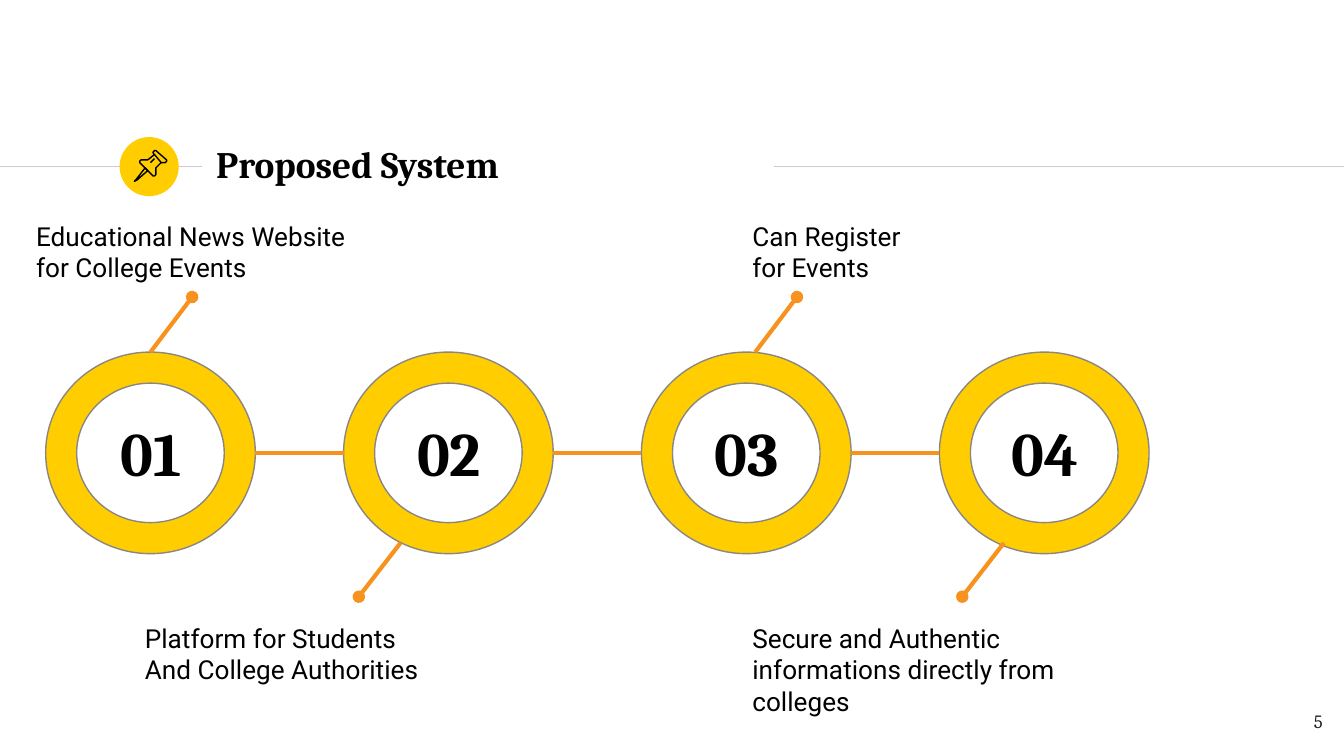
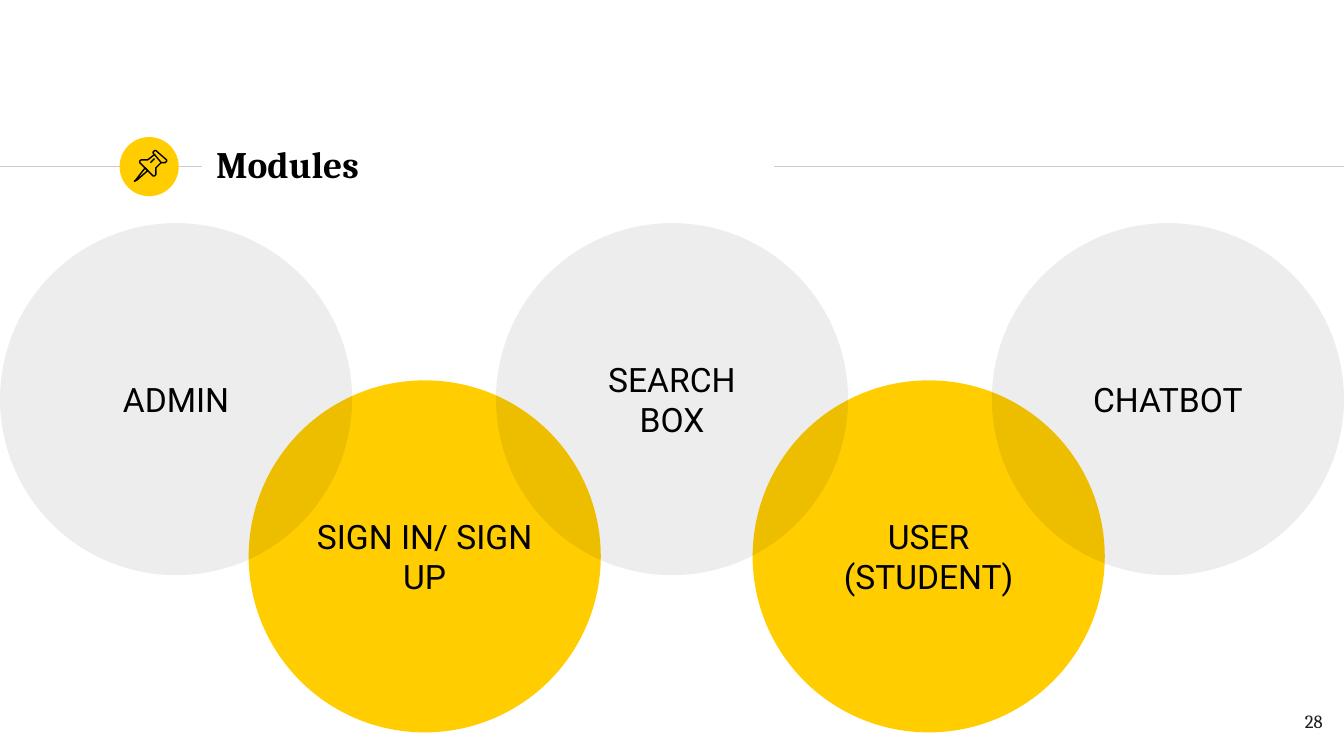
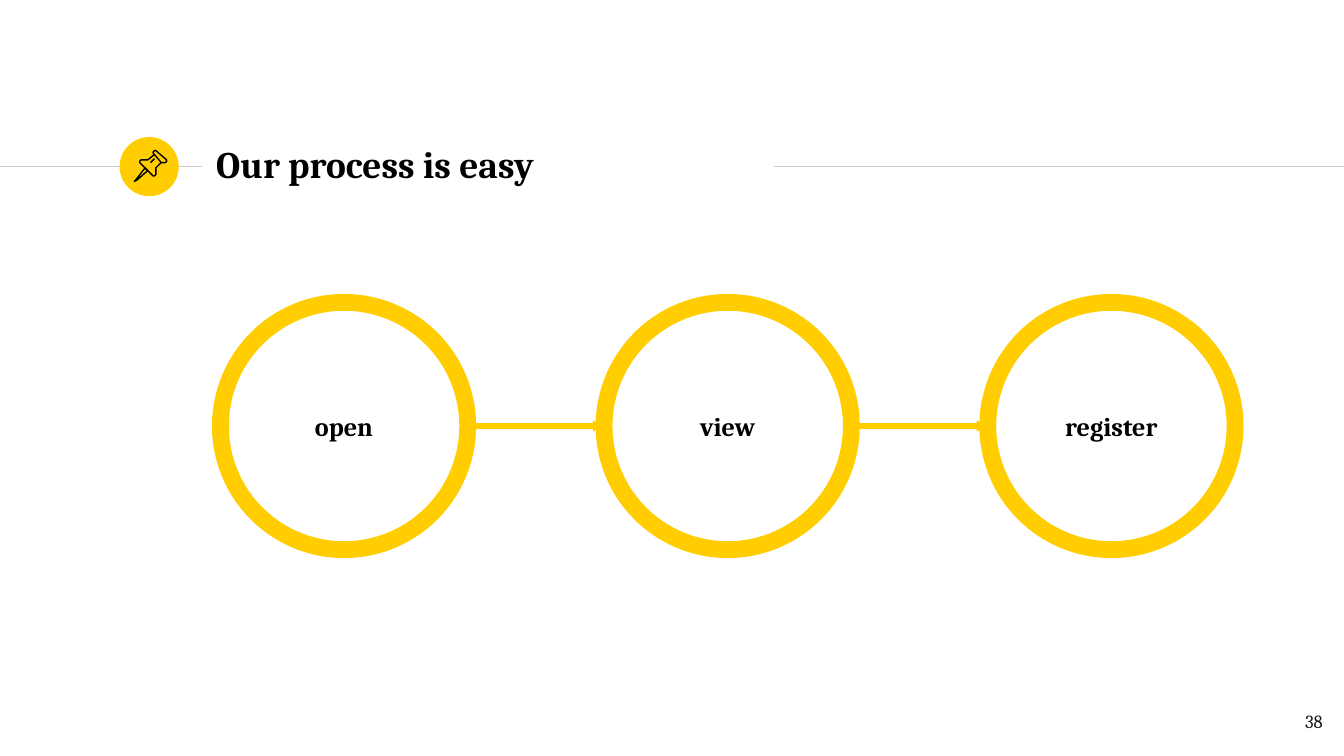
import collections
import dataclasses

import lxml.etree
import pptx
import pptx.dml.color
import pptx.enum.shapes
import pptx.enum.text
import pptx.oxml.ns
import pptx.util

Inches = pptx.util.Inches
Preset = pptx.enum.shapes.MSO_SHAPE
Connector = pptx.enum.shapes.MSO_CONNECTOR
Align = pptx.enum.text.PP_ALIGN
Anchor = pptx.enum.text.MSO_ANCHOR
Box = collections.namedtuple("Box", "left top width height")
Style = collections.namedtuple("Style", "font size color bold")


@dataclasses.dataclass(frozen=True)
class Theme:
    """Colours, type styles and line widths shared by the slides."""

    yellow: str = "FFCD00"
    orange: str = "F6921D"
    black: str = "000000"
    rule: str = "CCCCCC"
    outline: str = "8A8682"
    thin: float = 0.75
    title: Style = Style("Cambria", 20, "000000", True)
    number: Style = Style("Cambria", 33, "000000", True)
    label: Style = Style("Roboto", 14, "000000", False)
    module: Style = Style("Roboto", 18, "000000", False)
    stage: Style = Style("Cambria", 14, "000000", True)
    page: Style = Style("Cambria", 10, "1D1D1B", False)


THEME = Theme()
HEADER_BOX = Box(0, 0.98, 10, 0.48)
PAGE_BOX = Box(9.34, 5.2, 0.6, 0.43)
PIN_PARTS = [
    ([(19, 23), (12, 32), (11, 33), (13, 32), (21, 25)], True),
    ([(26, 13), (31, 19), (32, 19), (34, 19), (35, 18), (35, 17),
      (27, 10), (26, 10), (25, 11), (25, 12)], True),
    ([(26, 13), (21, 17), (19, 17), (16, 17), (15, 18), (15, 19),
      (25, 29), (26, 29), (27, 28), (27, 23), (31, 19)], False),
    ([(23, 19), (26, 16)], False),
]


def rgb(color):
    """Turn a hex string into a colour."""
    return pptx.dml.color.RGBColor.from_string(color)


def inches(box):
    """Turn a box or point into lengths."""
    return [Inches(value) for value in box]


def write(shape, text, style, align=Align.LEFT, anchor=Anchor.TOP):
    """Fill a shape with text in one style."""
    frame = shape.text_frame
    frame.text = text
    frame.word_wrap = True
    frame.vertical_anchor = anchor
    frame.margin_left = frame.margin_right = Inches(0.1)
    frame.margin_top = frame.margin_bottom = Inches(0.1)
    for paragraph in frame.paragraphs:
        paragraph.alignment = align
        for run in paragraph.runs:
            run.font.name = style.font
            run.font.size = pptx.util.Pt(style.size)
            run.font.bold = style.bold
            run.font.color.rgb = rgb(style.color)


def add_text(slide, box, text, style, align=Align.LEFT, anchor=Anchor.TOP):
    """Add a text box."""
    write(slide.shapes.add_textbox(*inches(box)), text, style, align, anchor)


def paint(shape, fill=None, line=None, width=THEME.thin):
    """Set fill and outline, without a shadow."""
    shape.shadow.inherit = False
    if fill:
        shape.fill.solid()
        shape.fill.fore_color.rgb = rgb(fill)
    else:
        shape.fill.background()
    if line:
        shape.line.color.rgb = rgb(line)
        shape.line.width = pptx.util.Pt(width)
    else:
        shape.line.fill.background()


def add_shape(slide, preset, box, fill=None, line=None, width=THEME.thin):
    """Add a painted preset shape."""
    shape = slide.shapes.add_shape(preset, *inches(box))
    paint(shape, fill, line, width)
    return shape


def add_line(slide, start, end, color, width, tail=None, tail_size="med",
             kind=Connector.STRAIGHT):
    """Add a connector with an optional end mark."""
    connector = slide.shapes.add_connector(kind, *inches(start + end))
    connector.line.color.rgb = rgb(color)
    connector.line.width = pptx.util.Pt(width)
    qualified = pptx.oxml.ns.qn
    if tail:
        outline = connector.line._get_or_add_ln()
        lxml.etree.SubElement(outline, qualified("a:tailEnd"),
                              type=tail, w=tail_size, len=tail_size)
    lxml.etree.SubElement(connector._element.spPr, qualified("a:effectLst"))


def set_opacity(shape, percent):
    """Make a solid fill partly transparent."""
    color = shape._element.spPr.find(".//" + pptx.oxml.ns.qn("a:srgbClr"))
    lxml.etree.SubElement(color, pptx.oxml.ns.qn("a:alpha"), val=str(percent * 1000))


def add_pin(slide, box):
    """Draw the pushpin, in hundredths of an inch from the badge corner."""
    group = slide.shapes.add_group_shape()
    for points, closed in PIN_PARTS:
        builder = group.shapes.build_freeform(*points[0], scale=Inches(0.01))
        builder.add_line_segments(points[1:], close=closed)
        part = builder.convert_to_shape(Inches(box.left), Inches(box.top))
        paint(part, line=THEME.black)


def add_header(slide, box, title):
    """Draw the rules, the badge with its pin, and the title."""
    middle = box.top + 0.26
    right = box.left + box.width
    badge = Box(box.left + 0.89, box.top + 0.04, 0.44, 0.44)
    add_line(slide, (box.left, middle), (box.left + 1.5, middle), THEME.rule, THEME.thin)
    add_shape(slide, Preset.OVAL, badge, THEME.yellow)
    add_line(slide, (right - 4.24, middle), (right, middle), THEME.rule, THEME.thin)
    title_box = Box(box.left + 1.51, box.top, 4.24, box.height)
    add_text(slide, title_box, title, THEME.title, anchor=Anchor.MIDDLE)
    add_pin(slide, badge)


def add_timeline(slide, box, steps):
    """Draw numbered rings in a row, each with a leader and a label."""
    ring_width = 1.56
    pitch = (box.width - ring_width) / (len(steps) - 1)
    middle = box.top + box.height / 2
    for index, (text, foot, label_left, label_height) in enumerate(steps):
        left = box.left + index * pitch
        ring_box = Box(left, box.top, ring_width, box.height)
        ring = add_shape(slide, Preset.DONUT, ring_box, THEME.yellow, THEME.outline)
        ring.adjustments[0] = 0.154
        if index:
            add_line(slide, (left - pitch + ring_width, middle), (left, middle),
                     THEME.orange, 2.25, kind=Connector.ELBOW)
        number_box = Box(left + 0.33, box.top + 0.37, 0.91, 0.76)
        add_text(slide, number_box, f"{index + 1:02}", THEME.number, Align.CENTER)
        if index % 2:
            start, end = (foot, box.top + 1.42), (foot - 0.31, box.top + 1.82)
            label_top = box.top + 1.91
        else:
            start, end = (foot, box.top), (foot + 0.31, box.top - 0.41)
            label_top = box.top - 1.08
        add_line(slide, start, end, THEME.orange, 2.25, tail="oval")
        add_text(slide, Box(label_left, label_top, 2.5, label_height), text, THEME.label)


def add_modules(slide, box, front, back):
    """Draw a lower row of yellow circles under an upper row of grey veils."""
    size = 2.62
    lower = [(text, 1.85 + 3.75 * index, box.height - size, THEME.yellow)
             for index, text in enumerate(front)]
    upper = [(text, 3.69 * index, 0, THEME.black) for index, text in enumerate(back)]
    for text, left, top, fill in lower + upper:
        circle_box = Box(box.left + left, box.top + top, size, size)
        circle = add_shape(slide, Preset.OVAL, circle_box, fill)
        if fill == THEME.black:
            set_opacity(circle, 7)
        write(circle, text, THEME.module, Align.CENTER, Anchor.MIDDLE)


def add_process(slide, box, stages):
    """Draw outlined circles joined by arrows."""
    size = box.height
    pitch = (box.width - size) / (len(stages) - 1)
    middle = box.top + size / 2
    for index, text in enumerate(stages):
        left = box.left + index * pitch
        circle = add_shape(slide, Preset.OVAL, Box(left, box.top, size, size),
                           line=THEME.yellow, width=9)
        write(circle, text, THEME.stage, Align.CENTER, Anchor.MIDDLE)
        if index:
            add_line(slide, (left - pitch + size, middle), (left, middle),
                     THEME.yellow, 3, tail="triangle", tail_size="sm")


def add_slide(presentation, title, page):
    """Add a blank slide with the shared header and page number."""
    slide = presentation.slides.add_slide(presentation.slide_layouts[6])
    add_header(slide, HEADER_BOX, title)
    add_text(slide, PAGE_BOX, str(page), THEME.page, Align.RIGHT)
    return slide


def main():
    """Build the three slides and save them."""
    presentation = pptx.Presentation()
    presentation.slide_width = Inches(10)
    presentation.slide_height = Inches(10) * 9 // 16

    slide = add_slide(presentation, "Proposed System", 5)
    add_timeline(slide, Box(0.34, 2.62, 8.21, 1.5), [
        ("Educational News Website for College Events", 1.12, 0.17, 0.67),
        ("Platform for Students\nAnd College Authorities", 2.98, 0.98, 0.67),
        ("Can Register\nfor Events", 5.62, 5.5, 0.67),
        ("Secure and Authentic informations directly from colleges", 7.47, 5.5, 0.91),
    ])

    slide = add_slide(presentation, "Modules", 28)
    add_modules(slide, Box(0, 1.66, 10, 3.79),
                ["SIGN IN/ SIGN UP", "USER (STUDENT)"],
                ["ADMIN", "SEARCH\nBOX", "CHATBOT"])

    slide = add_slide(presentation, "Our process is easy", 38)
    add_process(slide, Box(1.64, 2.25, 7.55, 1.84), ["open", "view", "register"])

    presentation.save("out.pptx")


if __name__ == "__main__":
    main()
